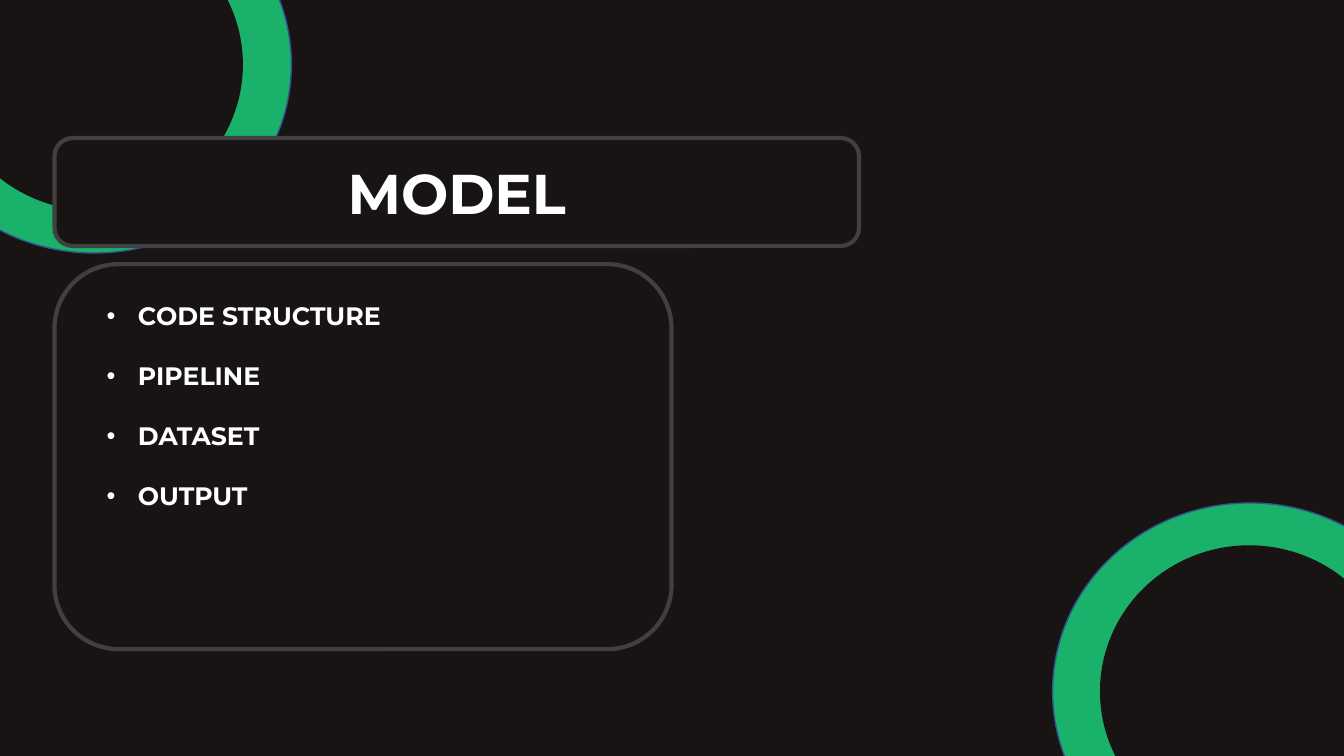
"""Build the dark MODEL agenda slide with two green rings."""
import pptx
import pptx.util
import pptx.dml.color
import pptx.enum.shapes
import pptx.enum.text
import lxml.etree

TITLE = "MODEL"
ITEMS = ["CODE STRUCTURE", "PIPELINE", "DATASET", "OUTPUT"]
FONT = "Montserrat"
COLORS = {"dark": "191414", "green": "1AB26B", "blue": "325491",
          "gray": "404040", "white": "FFFFFF"}

SCALE = 9144
SIZE = (1333, 750)
RINGS = [(-102, -123), (1044, 499)]
OUTER = (391, 374)
INNER = (296, 290)
HEAD = (54, 137, 798, 107)
PANEL = (54, 262, 612, 382)
LIST = (96, 293, 521, 343)
INDENT = 31

KINDS = pptx.enum.shapes.MSO_SHAPE
ALIGN = pptx.enum.text.PP_ALIGN
ANCHOR = pptx.enum.text.MSO_ANCHOR


def px(*vals):
    return [pptx.util.Emu(val * SCALE) for val in vals]


def color(name):
    return pptx.dml.color.RGBColor.from_string(COLORS[name])


def draw(shapes, kind, box, fill, line=None, width=1):
    shape = shapes.add_shape(kind, *px(*box))
    shape.shadow.inherit = False
    shape.fill.solid()
    shape.fill.fore_color.rgb = color(fill)
    if line:
        shape.line.color.rgb = color(line)
        shape.line.width = pptx.util.Pt(width)
    else:
        shape.line.fill.background()


def style(par, size, align):
    par.alignment = align
    for run in par.runs:
        run.font.name = FONT
        run.font.size = pptx.util.Pt(size)
        run.font.bold = True
        run.font.color.rgb = color("white")


def bullet(par):
    props = par._p.get_or_add_pPr()
    props.set("marL", str(INDENT * SCALE))
    props.set("indent", str(-INDENT * SCALE))
    for tag, key, val in [("buFont", "typeface", "Arial"), ("buChar", "char", "•")]:
        node = lxml.etree.SubElement(props, pptx.oxml.ns.qn("a:" + tag))
        node.set(key, val)


def ring(slide, left, top):
    group = slide.shapes.add_group_shape()
    draw(group.shapes, KINDS.OVAL, (left, top, *OUTER), "green", "blue")
    draw(group.shapes, KINDS.OVAL, (left + 47, top + 42, *INNER), "dark")


def head(slide):
    title = slide.shapes.title
    title.left, title.top, title.width, title.height = px(*HEAD)
    frame = title.text_frame
    frame.text = TITLE
    frame.vertical_anchor = ANCHOR.MIDDLE
    style(frame.paragraphs[0], 40, ALIGN.CENTER)
    slide.shapes.element.append(title.element)


def agenda(slide):
    frame = slide.shapes.add_textbox(*px(*LIST)).text_frame
    frame.word_wrap = True
    frame.text = "\n".join(ITEMS)
    for par in frame.paragraphs:
        style(par, 18, ALIGN.LEFT)
        par.space_after = pptx.util.Pt(21.3)
        bullet(par)


def main():
    deck = pptx.Presentation()
    deck.slide_width, deck.slide_height = px(*SIZE)
    slide = deck.slides.add_slide(deck.slide_layouts[5])
    back = slide.background.fill
    back.solid()
    back.fore_color.rgb = color("dark")
    for spot in RINGS:
        ring(slide, *spot)
    for box in (HEAD, PANEL):
        draw(slide.shapes, KINDS.ROUNDED_RECTANGLE, box, "dark", "gray", 3)
    head(slide)
    agenda(slide)
    deck.save("out.pptx")


if __name__ == "__main__":
    main()
